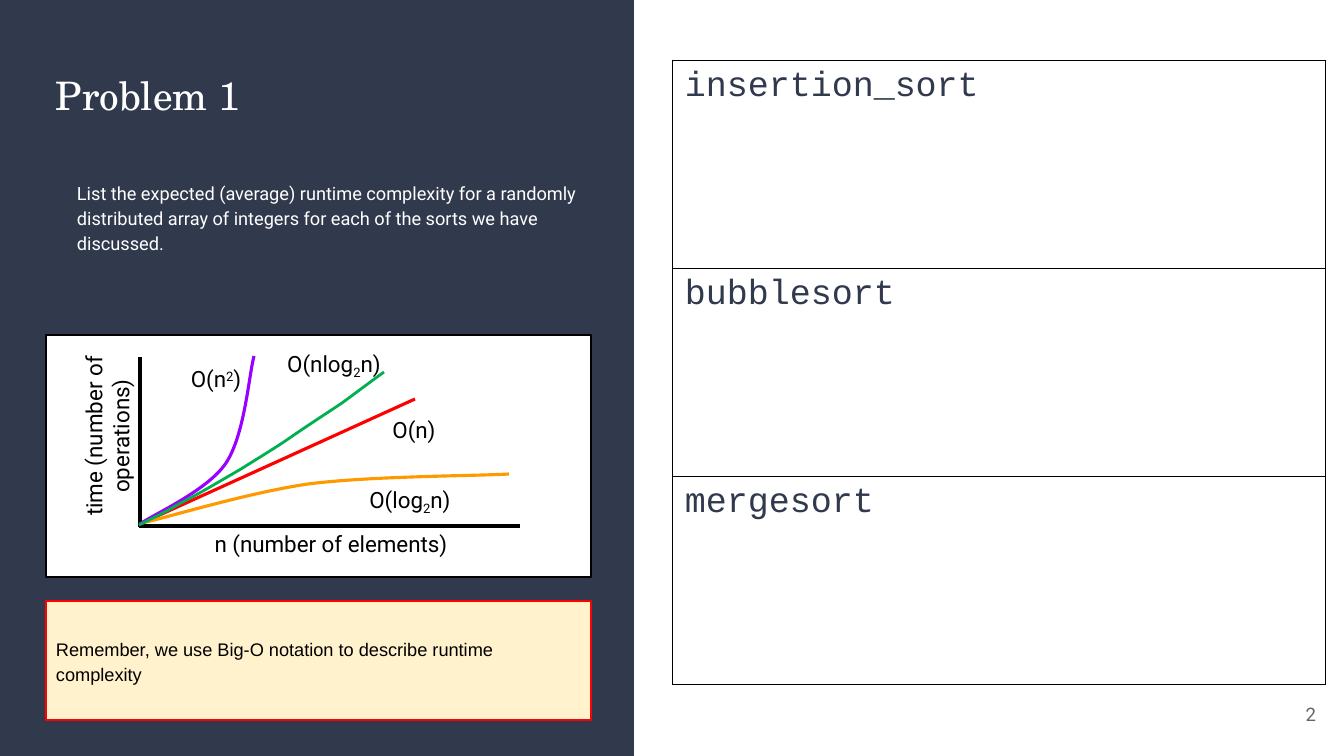
"""Builds the Problem 1 slide: sorting complexity question, growth curves and answer table."""
from lxml import etree
from pptx import Presentation, util as u
from pptx.dml.color import RGBColor
from pptx.enum import shapes, text
from pptx.oxml.ns import qn

PX = 914400 / 100.8
NAVY = RGBColor(0x31, 0x39, 0x4D)
WHITE = RGBColor(0xFF, 0xFF, 0xFF)
BLACK = RGBColor(0, 0, 0)
GREY = RGBColor(0x66, 0x66, 0x66)
CREAM = RGBColor(0xFF, 0xF2, 0xCC)
RED = RGBColor(0xFF, 0, 0)
ORANGE = RGBColor(0xFF, 0x99, 0)
PURPLE = RGBColor(0x99, 0, 0xFF)
GREEN = RGBColor(0, 0xB0, 0x50)
LEFT, CENTER, RIGHT = text.PP_ALIGN.LEFT, text.PP_ALIGN.CENTER, text.PP_ALIGN.RIGHT
TOP, MIDDLE = text.MSO_ANCHOR.TOP, text.MSO_ANCHOR.MIDDLE


def emu(*lengths):
    return [u.Emu(round(length * PX)) for length in lengths]


def write(frame, pieces, size, font, color, align=LEFT, anchor=TOP, inset=(10, 10), spacing=1.0):
    frame.word_wrap = True
    frame.vertical_anchor = anchor
    frame.margin_left, frame.margin_top = frame.margin_right, frame.margin_bottom = emu(*inset)
    line = frame.paragraphs[0]
    line.alignment, line.line_spacing = align, spacing
    for wording, baseline in pieces:
        run = line.add_run()
        run.text = wording
        run.font.size, run.font.name = u.Pt(size), font
        run.font.color.rgb = color
        if baseline:
            run.font._element.set("baseline", str(baseline * 1000))


deck = Presentation()
deck.slide_width, deck.slide_height = emu(1344, 756)
slide = deck.slides.add_slide(deck.slide_layouts[6])
parts = slide.shapes

for box, fill, border in [
    ((0, 0, 634, 756), NAVY, None),
    ((46, 335, 545, 242), WHITE, BLACK),
    ((46, 601, 545, 119), CREAM, RED),
]:
    panel = parts.add_shape(shapes.MSO_SHAPE.RECTANGLE, *emu(*box))
    panel.shadow.inherit = False
    panel.fill.solid()
    panel.fill.fore_color.rgb = fill
    if border is None:
        panel.line.fill.background()
    else:
        panel.line.color.rgb = border
        panel.line.width = u.Pt(1.5)
reminder = "Remember, we use Big-O notation to describe runtime complexity"
write(panel.text_frame, [(reminder, 0)], 13, "Arial", BLACK, anchor=MIDDLE, spacing=1.15)

title = parts.add_textbox(*emu(46, 61, 544, 94))
write(title.text_frame, [("Problem 1", 0)], 28, "TeX Gyre Schola", WHITE)

task = parts.add_textbox(*emu(46, 169, 544, 418))
question = ("List the expected (average) runtime complexity for a randomly distributed "
            "array of integers for each of the sorts we have discussed.")
write(task.text_frame, [(question, 0)], 13, "Roboto", WHITE, spacing=1.15)
indent = task.text_frame.paragraphs[0]._p.get_or_add_pPr()
indent.set("marL", str(emu(21)[0]))
indent.set("indent", "0")

page = parts.add_textbox(*emu(1245, 685, 81, 58))
write(page.text_frame, [("2", 0)], 13.3, "Roboto", GREY, RIGHT, MIDDLE)

for ends, color in [
    ((140, 357, 140, 527), BLACK),
    ((139, 526, 520, 526), BLACK),
    ((140, 524, 415, 399), RED),
]:
    stroke = parts.add_connector(shapes.MSO_CONNECTOR.STRAIGHT, *emu(*ends))
    stroke.line.color.rgb = color
    stroke.line.width = u.Pt(2.25)
    etree.SubElement(stroke._element.spPr, qn("a:effectLst"))

for color, weight, knots in [
    (ORANGE, 2.25, [(142, 523), (169, 517), (247, 493), (308, 484),
                    (370, 476), (476, 476), (509, 474)]),
    (PURPLE, 2.25, [(140, 524), (154, 514), (207, 491), (226, 463),
                    (245, 434), (249, 374), (254, 356)]),
    (GREEN, 2, [(139, 525), (151, 519), (162, 514), (179, 504),
                (197, 495), (222, 480), (241, 469), (260, 457), (277, 447), (294, 435),
                (310, 424), (327, 413), (342, 403), (357, 392), (377, 377), (384, 372)]),
]:
    outline = parts.build_freeform(*emu(*knots[0]))
    outline.add_line_segments([emu(*knot) for knot in knots[1:]], close=False)
    curve = outline.convert_to_shape()
    segments = list(curve._element.iter(qn("a:lnTo")))
    for first in range(0, len(segments), 3):
        bend = etree.Element(qn("a:cubicBezTo"))
        segments[first].addprevious(bend)
        for segment in segments[first:first + 3]:
            bend.append(segment[0])
            segment.getparent().remove(segment)
    curve.shadow.inherit = False
    curve.fill.background()
    curve.line.color.rgb = color
    curve.line.width = u.Pt(weight)

for box, turn, label in [
    ((175, 532, 312, 24), 0, [("n (number of elements)", 0)]),
    ((7, 422, 200, 28), 270, [("time (number of operations)", 0)]),
    ((318, 418, 192, 24), 0, [("O(n)", 0)]),
    ((254, 489, 312, 24), 0, [("O(log", 0), ("2", -25), ("n)", 0)]),
    ((120, 367, 192, 24), 0, [("O(n", 0), ("2", 30), (")", 0)]),
    ((238, 353, 192, 24), 0, [("O(nlog", 0), ("2", -25), ("n)", 0)]),
]:
    caption = parts.add_textbox(*emu(*box))
    caption.rotation = turn
    write(caption.text_frame, label, 16, "Roboto", BLACK, CENTER, MIDDLE, (13, 0))

sorts = ["insertion_sort", "bubblesort", "mergesort"]
answers = parts.add_table(len(sorts), 1, *emu(672, 60, 654, 625)).table
answers.first_row = answers.horz_banding = False
for row, name in enumerate(sorts):
    cell = answers.cell(row, 0)
    write(cell.text_frame, [(name, 0)], 25, "Courier New", NAVY)
    cell.margin_left, cell.margin_right, cell.margin_top, cell.margin_bottom = emu(13, 13, 7, 7)
    properties = cell._tc.get_or_add_tcPr()
    for side in ("lnL", "lnR", "lnT", "lnB"):
        edge = etree.SubElement(properties, qn("a:" + side), w=str(u.Pt(0.75)))
        paint = etree.SubElement(edge, qn("a:solidFill"))
        etree.SubElement(paint, qn("a:srgbClr"), val=str(BLACK))
    cell.fill.background()

deck.save("out.pptx")
